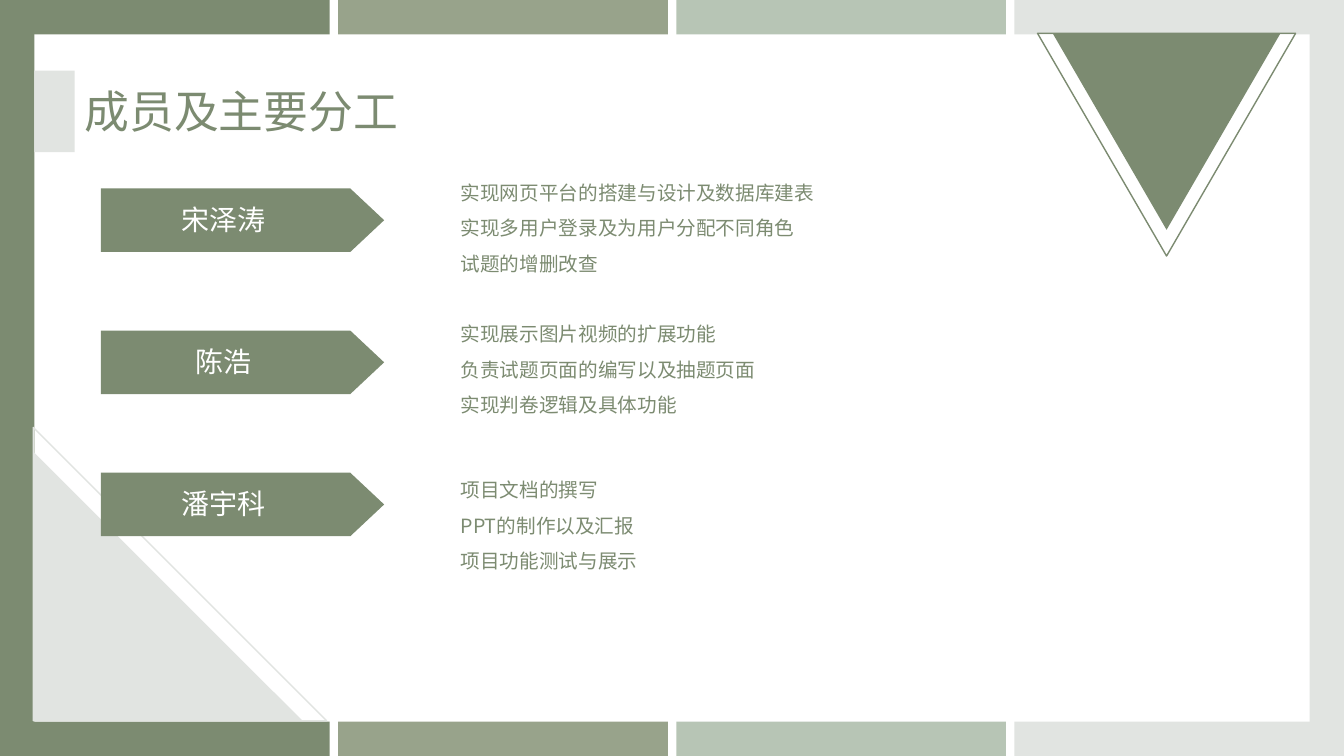
from dataclasses import dataclass

from lxml import etree
from pptx import Presentation
from pptx.dml.color import RGBColor
from pptx.enum.shapes import MSO_SHAPE
from pptx.enum.text import MSO_AUTO_SIZE, PP_ALIGN
from pptx.oxml.ns import qn
from pptx.util import Inches, Pt

RECT = MSO_SHAPE.RECTANGLE
CORNER = MSO_SHAPE.RIGHT_TRIANGLE
WEDGE = MSO_SHAPE.ISOSCELES_TRIANGLE
ARROW = MSO_SHAPE.PENTAGON
GROW = MSO_AUTO_SIZE.SHAPE_TO_FIT_TEXT
LEFT, CENTER = PP_ALIGN.LEFT, PP_ALIGN.CENTER

FONT = "Noto Sans CJK SC"
COLORS = {
    "moss": "7C8B71",
    "sage": "98A38B",
    "mint": "B7C5B5",
    "mist": "E1E4E1",
    "white": "FFFFFF",
}


@dataclass
class Box:
    left: float
    top: float
    width: float
    height: float

    def place(self) -> list:
        return [Inches(n) for n in (self.left, self.top, self.width, self.height)]


@dataclass
class Part:
    kind: MSO_SHAPE
    box: Box
    fill: str = ""
    line: str = ""
    turn: int = 0


@dataclass
class Member:
    name: str
    top: float
    tasks_top: float
    tasks: list[str]


def color(name: str) -> RGBColor:
    return RGBColor.from_string(COLORS[name])


def draw(slide, part: Part):
    shape = slide.shapes.add_shape(part.kind, *part.box.place())
    shape.shadow.inherit = False
    shape.rotation = part.turn
    if part.fill:
        shape.fill.solid()
        shape.fill.fore_color.rgb = color(part.fill)
    else:
        shape.fill.background()
    if part.line:
        shape.line.color.rgb = color(part.line)
        shape.line.width = Pt(1)
    else:
        shape.line.fill.background()
    return shape


def write(slide, box: Box, lines: list[str], size: int, tint: str,
          align: PP_ALIGN = LEFT, space: float = 1.0) -> None:
    frame = slide.shapes.add_textbox(*box.place()).text_frame
    frame.word_wrap = True
    frame.auto_size = GROW
    style = {"name": FONT, "size": Pt(size)}
    for i, line in enumerate(lines):
        para = frame.paragraphs[0] if i == 0 else frame.add_paragraph()
        para.alignment = align
        para.line_spacing = space
        run = para.add_run()
        run.text = line
        for key, value in style.items():
            setattr(run.font, key, value)
        run.font.color.rgb = color(tint)
        # East Asian glyphs take their own typeface element
        props = run.font._element
        etree.SubElement(props, qn("a:ea")).set("typeface", FONT)


BANDS = ["moss", "sage", "mint", "mist"]
BAND_W, BAND_STEP = 3.27, 3.354

DECOR = [
    Part(RECT, Box(0.34, 0.34, 12.65, 6.82), "white"),
    Part(RECT, Box(0.34, 0.7, 0.4, 0.81), "mist"),
    Part(CORNER, Box(0.33, 4.48, 2.67, 2.67), "mist"),
    Part(CORNER, Box(0.33, 4.24, 2.91, 2.91), line="mist"),
    Part(WEDGE, Box(10.44, 0.33, 2.26, 1.95), "moss", turn=180),
    Part(WEDGE, Box(10.29, 0.33, 2.56, 2.21), line="moss", turn=180),
]

TEAM = [
    Member("宋泽涛", 1.87, 1.63, [
        "实现网页平台的搭建与设计及数据库建表",
        "实现多用户登录及为用户分配不同角色",
        "试题的增删改查",
    ]),
    Member("陈浩", 3.28, 3.03, [
        "实现展示图片视频的扩展功能",
        "负责试题页面的编写以及抽题页面",
        "实现判卷逻辑及具体功能",
    ]),
    Member("潘宇科", 4.69, 4.58, [
        "项目文档的撰写",
        "PPT的制作以及汇报",
        "项目功能测试与展示",
    ]),
]


def main() -> None:
    deck = Presentation()
    deck.slide_width, deck.slide_height = Inches(13.33), Inches(7.5)
    slide = deck.slides.add_slide(deck.slide_layouts[6])

    # Coloured bands, white panel and triangles
    for i, tint in enumerate(BANDS):
        draw(slide, Part(RECT, Box(i * BAND_STEP, 0, BAND_W, 7.5), tint))
    for part in DECOR:
        draw(slide, part)

    # Title
    write(slide, Box(0.74, 0.78, 4.59, 0.64), ["成员及主要分工"], 32, "moss")

    # Members and their tasks
    for who in TEAM:
        arrow = draw(slide, Part(ARROW, Box(1, who.top, 2.81, 0.63), "moss"))
        arrow.adjustments[0] = 0.533
        write(slide, Box(1, who.top + 0.09, 2.43, 0.44), [who.name],
              20, "white", CENTER)
        write(slide, Box(4.47, who.tasks_top, 4.92, 1.12), who.tasks,
              14, "moss", space=1.5)

    deck.save("out.pptx")


if __name__ == "__main__":
    main()
